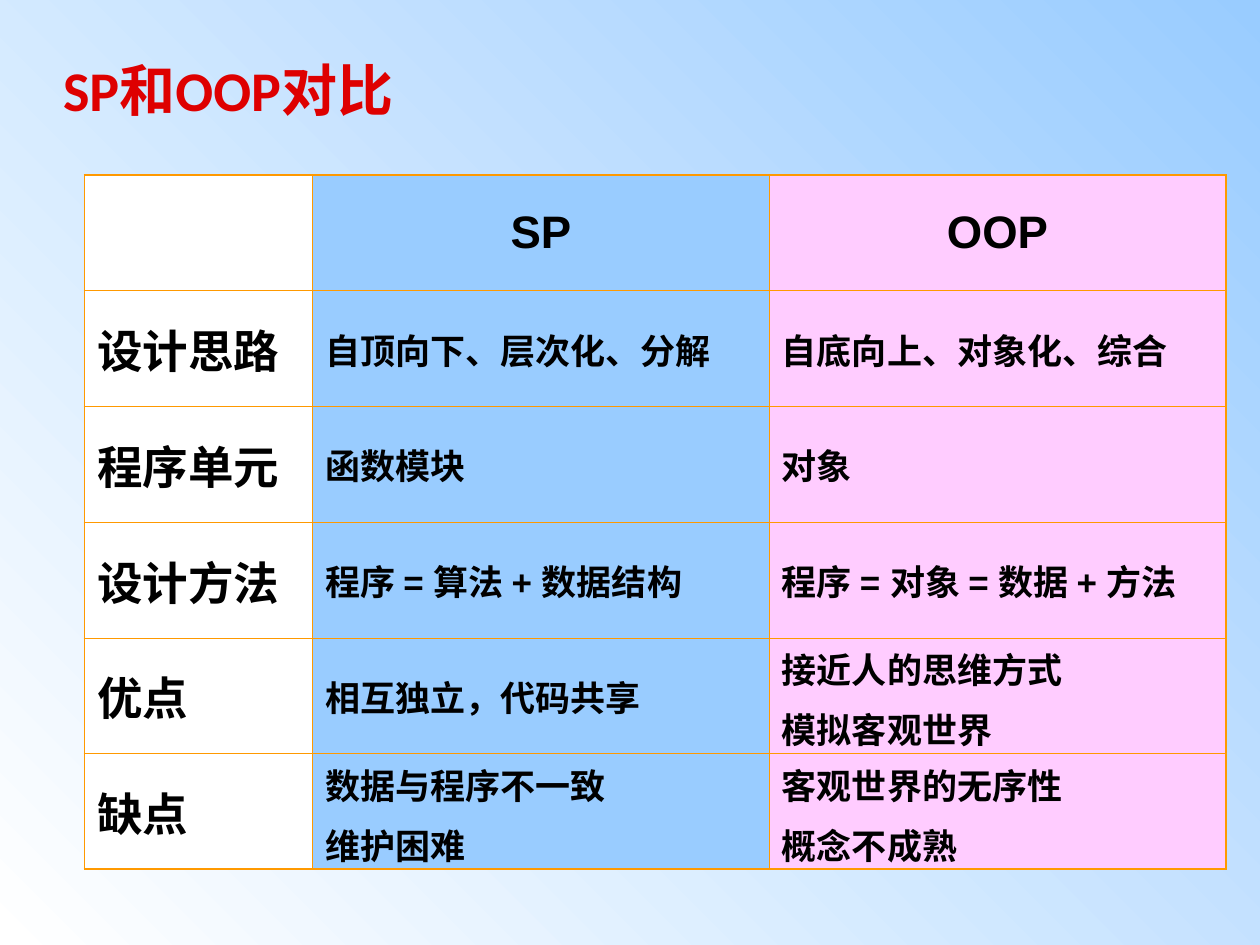
import pptx
import pptx.util
import pptx.dml.color
import pptx.enum.text
import pptx.oxml
import pptx.oxml.ns

Inches = pptx.util.Inches
Pt = pptx.util.Pt
COLORS = {
    "sky": "99CCFF",
    "white": "FFFFFF",
    "pink": "FFCCFF",
    "orange": "FF9900",
    "red": "DE0000",
    "black": "000000",
}
COLUMN_FILLS = ("white", "sky", "pink")
COLUMN_SHARES = (1, 2, 2)
TITLE = {"size": Pt(32), "name": "Calibri", "bold": True}
HEADING = {"size": Pt(26), "name": "Arial", "bold": True}
BODY = {"size": Pt(20), "name": "Arial", "bold": True}
THIN, THICK = 0.45, 1.08
COMPARISON = [
    ("", "SP", "OOP"),
    ("设计思路", "自顶向下、层次化、分解", "自底向上、对象化、综合"),
    ("程序单元", "函数模块", "对象"),
    ("设计方法", "程序 = 算法 + 数据结构", "程序 = 对象 = 数据 + 方法"),
    ("优点", "相互独立，代码共享", "接近人的思维方式\n模拟客观世界"),
    ("缺点", "数据与程序不一致\n维护困难", "客观世界的无序性\n概念不成熟"),
]


def color(name):
    return pptx.dml.color.RGBColor.from_string(COLORS[name])


def set_values(target, values):
    for name, value in values.items():
        setattr(target, name, value)


def write_text(frame, text, font, color_name, align):
    for index, line in enumerate(text.split("\n")):
        para = frame.add_paragraph() if index else frame.paragraphs[0]
        para.alignment = align
        if index:
            para.space_before = Pt(5)
        span = para.add_run()
        span.text = line
        set_values(span.font, font)
        span.font.color.rgb = color(color_name)


def paint_background(page):
    fill = page.background.fill
    fill.gradient()
    fill.gradient_angle = 225
    for stop, position, name in zip(fill.gradient_stops, (0, 1), ("sky", "white")):
        stop.position = position
        stop.color.rgb = color(name)


def add_title(page, left, top, width, height):
    frame = page.shapes.add_textbox(left, top, width, height).text_frame
    set_values(frame, {
        "word_wrap": True,
        "margin_left": 0,
        "margin_top": 0,
        "margin_right": 0,
        "margin_bottom": 0,
    })
    write_text(frame, "SP和OOP对比", TITLE, "red", pptx.enum.text.PP_ALIGN.LEFT)


def set_borders(cell, widths):
    properties = cell._tc.get_or_add_tcPr()
    for index, (side, width) in enumerate(widths.items()):
        line = pptx.oxml.parse_xml(
            f'<a:{side} {pptx.oxml.ns.nsdecls("a")} w="{Pt(width)}">'
            f'<a:solidFill><a:srgbClr val="{COLORS["orange"]}"/></a:solidFill>'
            f'</a:{side}>'
        )
        properties.insert(index, line)


def add_comparison(page, left, top, width, height):
    row_count, column_count = len(COMPARISON), len(COLUMN_SHARES)
    table = page.shapes.add_table(
        row_count, column_count, left, top, width, height
    ).table
    set_values(table, {"first_row": False, "horz_banding": False})
    for column, share in zip(table.columns, COLUMN_SHARES):
        column.width = int(width * share / sum(COLUMN_SHARES))
    for row_index, texts in enumerate(COMPARISON):
        for column_index, text in enumerate(texts):
            cell = table.cell(row_index, column_index)
            stacked = "\n" in text
            set_values(cell, {
                "vertical_anchor": pptx.enum.text.MSO_ANCHOR.MIDDLE,
                "margin_left": Inches(0.1),
                "margin_right": Inches(0.1),
                "margin_top": Inches(0.04 if stacked else 0.05),
                "margin_bottom": Inches(0 if stacked else 0.05),
            })
            cell.fill.solid()
            cell.fill.fore_color.rgb = color(COLUMN_FILLS[column_index])
            set_borders(cell, {
                "lnL": THICK if column_index == 0 else THIN,
                "lnR": THICK if column_index == column_count - 1 else THIN,
                "lnT": THICK if row_index == 0 else THIN,
                "lnB": THICK if row_index == row_count - 1 else THIN,
            })
            if text:
                is_heading = row_index == 0 or column_index == 0
                align = pptx.enum.text.PP_ALIGN
                write_text(
                    cell.text_frame, text, HEADING if is_heading else BODY,
                    "black", align.LEFT if row_index else align.CENTER,
                )


def main():
    deck = pptx.Presentation()
    set_values(deck, {"slide_width": Inches(10), "slide_height": Inches(7.5)})
    page = deck.slides.add_slide(deck.slide_layouts[6])
    paint_background(page)
    add_title(page, Inches(0.5), Inches(0.44), Inches(9.08), Inches(0.69))
    add_comparison(page, Inches(0.67), Inches(1.39), Inches(9.06), Inches(5.51))
    deck.save("out.pptx")


if __name__ == "__main__":
    main()
